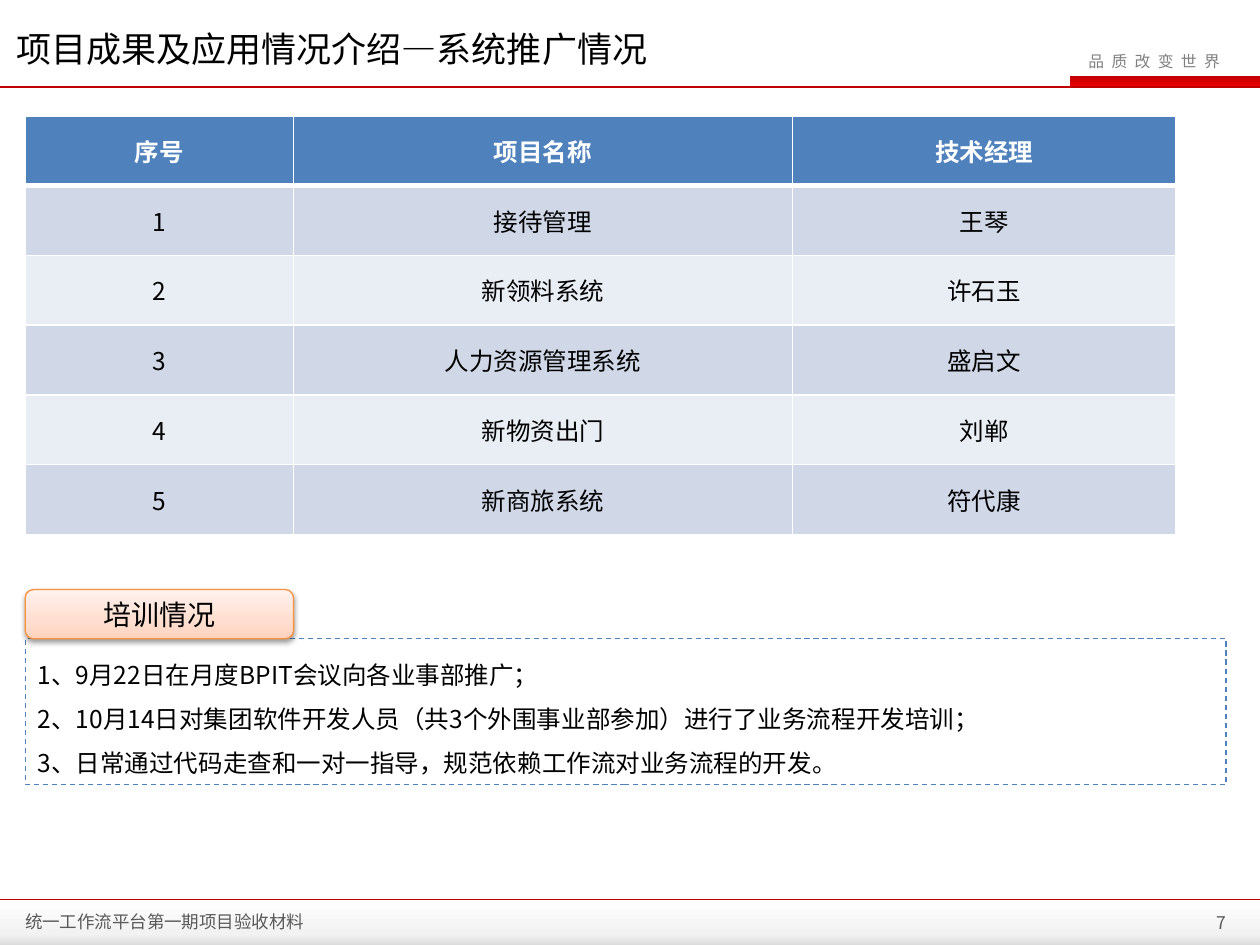
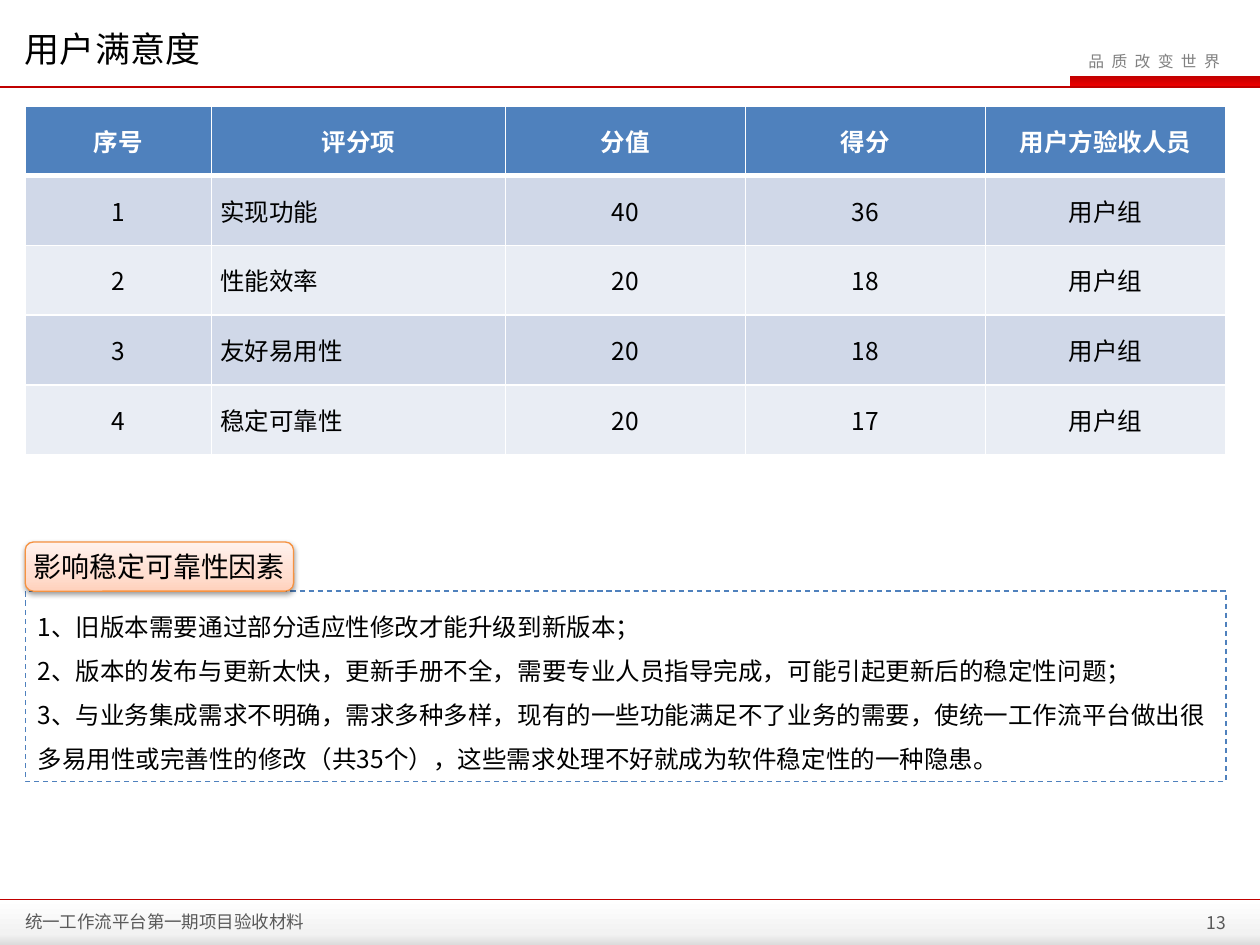
from pptx import Presentation
from pptx.dml.color import RGBColor
from pptx.enum.dml import MSO_LINE_DASH_STYLE as DASH
from pptx.enum.shapes import MSO_CONNECTOR, MSO_SHAPE
from pptx.enum.text import MSO_ANCHOR as ANCHOR, MSO_AUTO_SIZE as AUTO, PP_ALIGN as ALIGN
from pptx.oxml.ns import qn
from pptx.util import Pt
from lxml.etree import SubElement

FONT = "Noto Sans CJK SC"
COLORS = {
    "black": "000000", "white": "FFFFFF", "slogan": "808080", "footer": "595959",
    "red": "C00000", "bright_red": "EE0000", "mist": "F2F2F2", "silver": "DCDCDC",
    "blue": "4F81BD", "band_dark": "D0D8E8", "band_light": "E9EDF4",
    "orange": "F69240", "peach": "FFD2BD", "light_peach": "FFDED0", "pale_peach": "FFF2ED",
}
RED_BAND = [(0, "red"), (100, "bright_red")]
FOOTER_BAND = [(0, "white"), (75, "mist"), (100, "silver")]
TAG_FILL = [(0, "peach"), (35, "light_peach"), (100, "pale_peach")]
WIDTH, HEIGHT = 720, 540
LEFT, CONTENT_W = 14.4, 686.2
HEADER_Y, FOOTER_Y = 49.7, 514
ROW_H, TAG_W, TAG_H = 39.87, 153.4, 28.1


def rgb(name):
    return RGBColor.from_string(COLORS[name])


class Deck:
    def __init__(self):
        self.prs = Presentation()
        self.prs.slide_width, self.prs.slide_height = Pt(WIDTH), Pt(HEIGHT)
        self.s = None

    def slide(self, title, title_x, number):
        self.s = self.prs.slides.add_slide(self.prs.slide_layouts[6])
        self.band(611.3, 43.2, WIDTH - 611.3, 6.5, RED_BAND)
        slogan = self.text("品 质 改 变 世 界", 614.9, 25.9, 97.9, 18, 9, "slogan", wrap=False)
        slogan.runs[0].font._element.set("spc", "110")
        self.line(HEADER_Y, 1.5)
        self.band(0, FOOTER_Y, WIDTH, HEIGHT - FOOTER_Y, FOOTER_BAND)
        self.line(FOOTER_Y, 1)
        self.text("统一工作流平台第一期项目验收材料", 7.2, 519.1, 228, 15.1, 10, "footer",
                  anchor=ANCHOR.MIDDLE)
        self.text(str(number), 622.8, 518.4, 85, 18, 10, "footer",
                  anchor=ANCHOR.MIDDLE, align=ALIGN.RIGHT)
        self.text(title, title_x, 9.4, 460, 33, 20, "black").line_spacing = Pt(27)

    def style(self, p, size, color, align=ALIGN.LEFT, bold=False):
        p.alignment = align
        for r in p.runs:
            r.font.name, r.font.size, r.font.bold = FONT, Pt(size), bold
            r.font.color.rgb = rgb(color)
            SubElement(r.font._element, qn("a:ea"), typeface=FONT)

    def text(self, text, x, y, w, h, size, color, anchor=ANCHOR.TOP, align=ALIGN.LEFT, wrap=True):
        tf = self.s.shapes.add_textbox(Pt(x), Pt(y), Pt(w), Pt(h)).text_frame
        tf.text, tf.word_wrap, tf.vertical_anchor = text, wrap, anchor
        p = tf.paragraphs[0]
        self.style(p, size, color, align)
        return p

    def line(self, y, width):
        c = self.s.shapes.add_connector(MSO_CONNECTOR.STRAIGHT, Pt(0), Pt(y), Pt(WIDTH), Pt(y))
        c.line.color.rgb, c.line.width = rgb("red"), Pt(width)
        SubElement(c._element.spPr, qn("a:effectLst"))

    def shape(self, kind, x, y, w, h):
        sp = self.s.shapes.add_shape(kind, Pt(x), Pt(y), Pt(w), Pt(h))
        sp.shadow.inherit = False
        return sp

    def gradient(self, sp, stops, angle):
        sp.fill.gradient()
        sp.fill.gradient_angle = angle
        gs_list = sp._element.spPr.find(qn("a:gradFill")).find(qn("a:gsLst"))
        gs_list.clear()
        for pos, color in stops:
            gs = SubElement(gs_list, qn("a:gs"), pos=str(pos * 1000))
            SubElement(gs, qn("a:srgbClr"), val=COLORS[color])

    def band(self, x, y, w, h, stops):
        sp = self.shape(MSO_SHAPE.RECTANGLE, x, y, w, h)
        self.gradient(sp, stops, 270)
        sp.line.fill.background()

    def outline(self, sp, color):
        sp.line.color.rgb, sp.line.width = rgb(color), Pt(0.75)

    def tag(self, text, y):
        sp = self.shape(MSO_SHAPE.ROUNDED_RECTANGLE, LEFT, y, TAG_W, TAG_H)
        self.gradient(sp, TAG_FILL, 90)
        self.outline(sp, "orange")
        effects = sp._element.spPr.find(qn("a:effectLst"))
        shadow = SubElement(effects, qn("a:outerShdw"), blurRad=str(Pt(3.1)), dist=str(Pt(1.6)),
                            dir="5400000", rotWithShape="0")
        black = SubElement(shadow, qn("a:srgbClr"), val=COLORS["black"])
        SubElement(black, qn("a:alpha"), val="38000")
        tf = sp.text_frame
        tf.text, tf.word_wrap, tf.vertical_anchor = text, False, ANCHOR.MIDDLE
        self.style(tf.paragraphs[0], 16, "black", ALIGN.CENTER)

    def tagged_panel(self, heading, lines, y, h):
        sp = self.shape(MSO_SHAPE.RECTANGLE, LEFT, y, CONTENT_W, h)
        sp.fill.solid()
        sp.fill.fore_color.rgb = rgb("white")
        self.outline(sp, "blue")
        sp.line.dash_style = DASH.DASH
        tf = sp.text_frame
        tf.text = "\n".join(lines)
        tf.word_wrap, tf.vertical_anchor, tf.auto_size = True, ANCHOR.TOP, AUTO.SHAPE_TO_FIT_TEXT
        for p in tf.paragraphs:
            p.line_spacing = 1.5
            self.style(p, 14, "black")
        self.tag(heading, y - TAG_H)

    def borders(self, cell, row):
        widths = {"L": 1, "R": 1, "T": 3 if row == 1 else 1, "B": 3 if row == 0 else 1}
        for side, width in widths.items():
            ln = SubElement(cell._tc.get_or_add_tcPr(), qn(f"a:ln{side}"), w=str(Pt(width)))
            SubElement(SubElement(ln, qn("a:solidFill")), qn("a:srgbClr"), val=COLORS["white"])

    def table(self, rows, y, widths, justified=()):
        table = self.s.shapes.add_table(len(rows), len(widths), Pt(LEFT), Pt(y),
                                        Pt(sum(widths)), Pt(ROW_H * len(rows))).table
        for column, width in zip(table.columns, widths):
            column.width = Pt(width)
        for i, row in enumerate(rows):
            table.rows[i].height = Pt(ROW_H)
            header = i == 0
            fill = "blue" if header else "band_dark" if i % 2 else "band_light"
            for j, value in enumerate(row):
                cell = table.cell(i, j)
                cell.text = value
                cell.vertical_anchor = ANCHOR.MIDDLE
                cell.margin_left = cell.margin_right = Pt(5)
                cell.margin_top = cell.margin_bottom = Pt(0)
                self.borders(cell, i)
                cell.fill.solid()
                cell.fill.fore_color.rgb = rgb(fill)
                align = ALIGN.JUSTIFY if j in justified and not header else ALIGN.CENTER
                self.style(cell.text_frame.paragraphs[0], 14,
                           "white" if header else "black", align, header)


def numbered(header, rows):
    return [["序号", *header]] + [[str(n), *row] for n, row in enumerate(rows, 1)]


def main():
    deck = Deck()

    deck.slide("项目成果及应用情况介绍—系统推广情况", 2.2, 7)
    projects = [
        ("接待管理", "王琴"),
        ("新领料系统", "许石玉"),
        ("人力资源管理系统", "盛启文"),
        ("新物资出门", "刘郸"),
        ("新商旅系统", "符代康"),
    ]
    deck.table(numbered(("项目名称", "技术经理"), projects), 66.2, [153.2, 285.4, 218.8])
    deck.tagged_panel("培训情况", [
        "1、9月22日在月度BPIT会议向各业事部推广；",
        "2、10月14日对集团软件开发人员（共3个外围事业部参加）进行了业务流程开发培训；",
        "3、日常通过代码走查和一对一指导，规范依赖工作流对业务流程的开发。",
    ], 365, 83.5)

    deck.slide("用户满意度", 7.2, 13)
    scores = [
        ("实现功能", "40", "36"),
        ("性能效率", "20", "18"),
        ("友好易用性", "20", "18"),
        ("稳定可靠性", "20", "17"),
    ]
    deck.table(numbered(("评分项", "分值", "得分", "用户方验收人员"),
                        [(*score, "用户组") for score in scores]),
               60.5, [106.4, 168] + [137.2] * 3, justified=(1,))
    deck.tagged_panel("影响稳定可靠性因素", [
        "1、旧版本需要通过部分适应性修改才能升级到新版本；",
        "2、版本的发布与更新太快，更新手册不全，需要专业人员指导完成，可能引起更新后的稳定性问题；",
        "3、与业务集成需求不明确，需求多种多样，现有的一些功能满足不了业务的需要，"
        "使统一工作流平台做出很多易用性或完善性的修改（共35个），"
        "这些需求处理不好就成为软件稳定性的一种隐患。",
    ], 337.8, 108.9)

    deck.prs.save("out.pptx")


if __name__ == "__main__":
    main()
